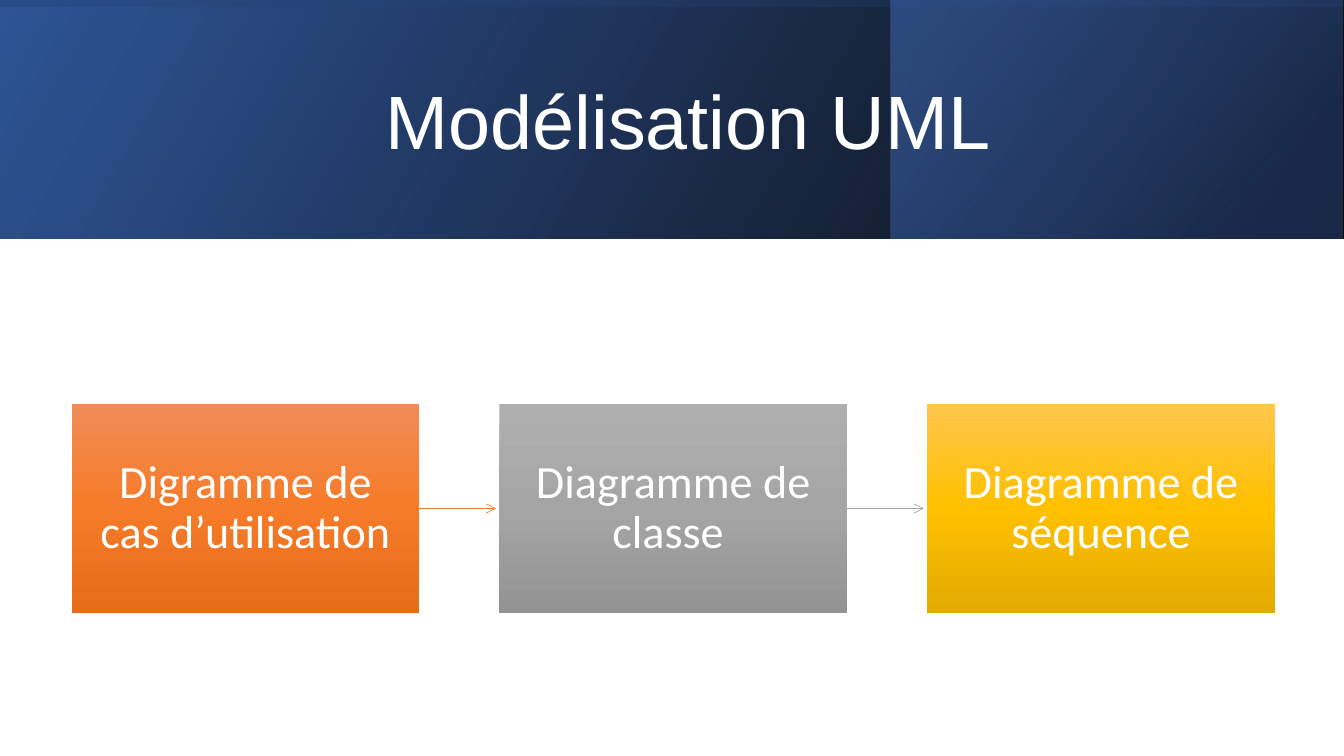
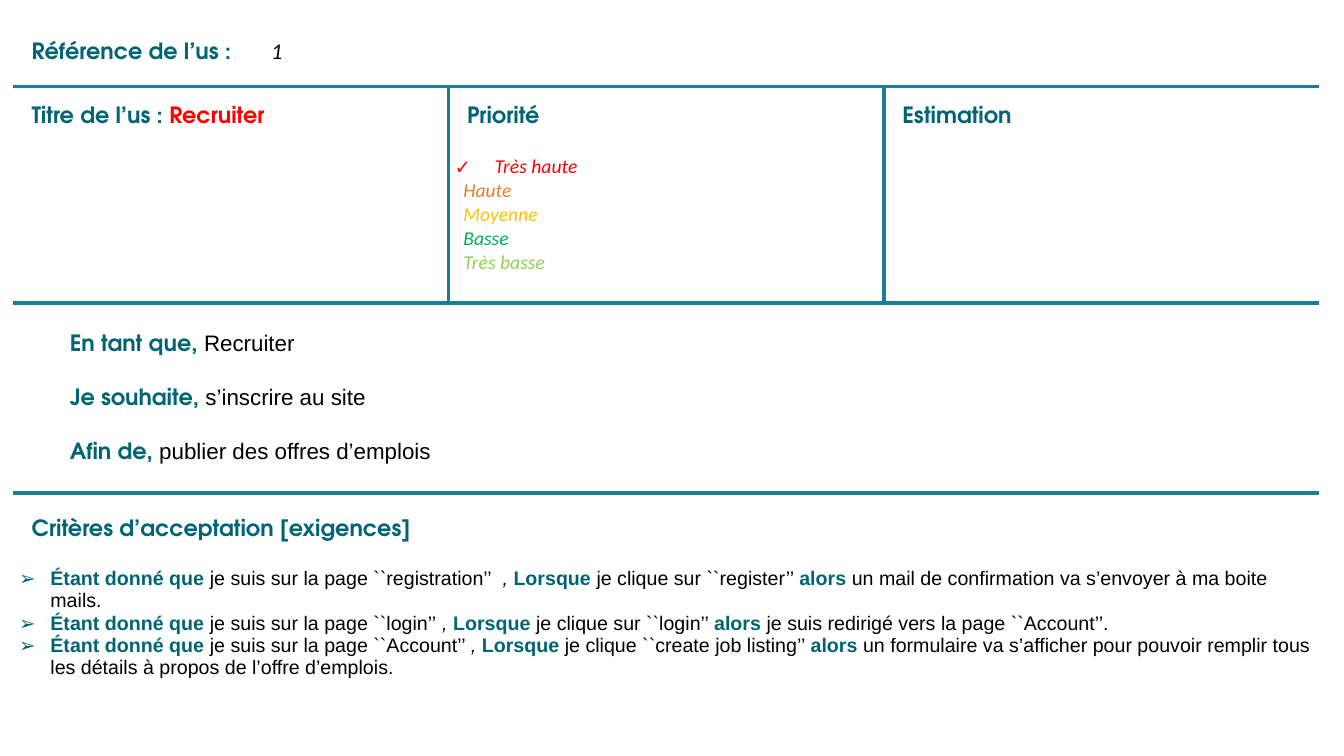
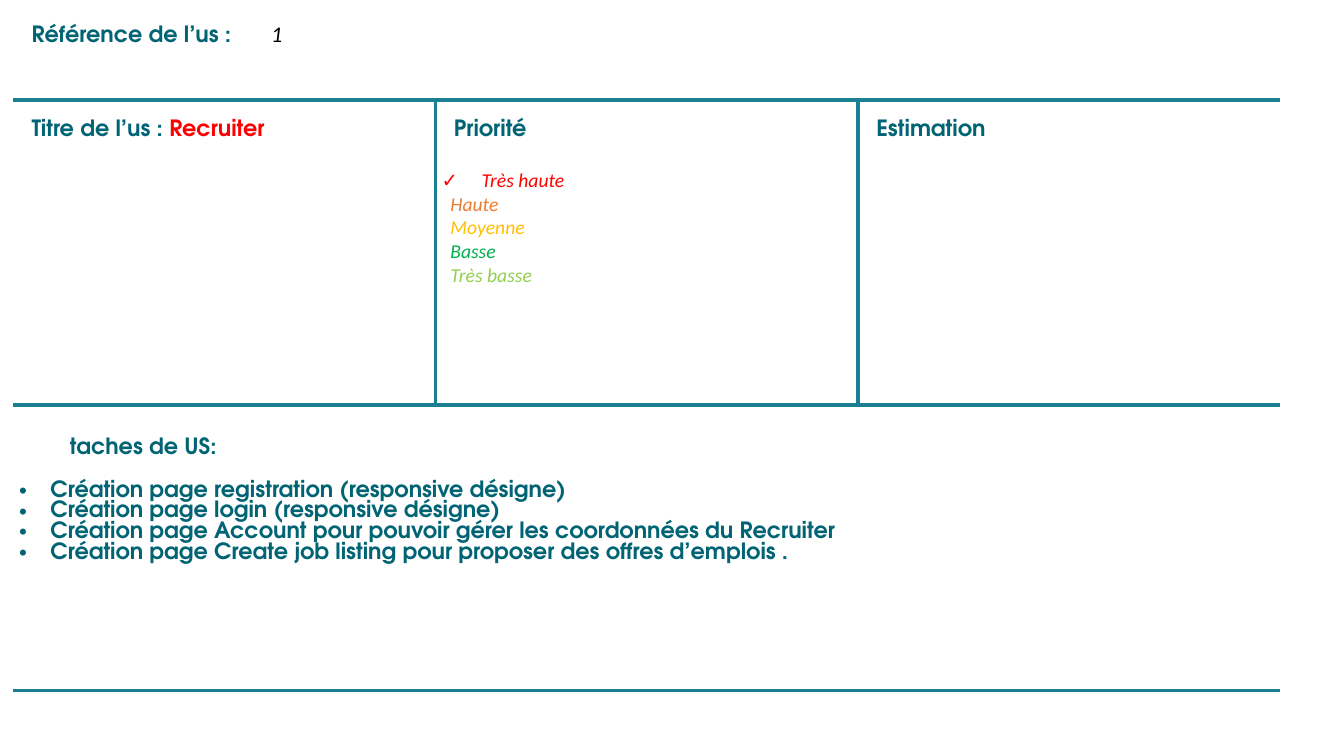
from dataclasses import dataclass

from pptx import Presentation
from pptx.dml.color import RGBColor
from pptx.enum.shapes import MSO_CONNECTOR, MSO_SHAPE
from pptx.enum.text import MSO_ANCHOR, PP_ALIGN
from pptx.oxml.ns import qn
from pptx.util import Pt
from lxml.etree import SubElement

WHITE = RGBColor(0xFF, 0xFF, 0xFF)
BLACK = RGBColor(0x00, 0x00, 0x00)
NAVY = RGBColor(0x20, 0x38, 0x64)
DARK_BLUE = RGBColor(0x2F, 0x55, 0x97)
BLUE = RGBColor(0x44, 0x72, 0xC4)
TEAL = RGBColor(0x00, 0x64, 0x74)
RULE_TEAL = RGBColor(0x1A, 0x7F, 0x93)
RED = RGBColor(0xFF, 0x00, 0x00)
ORANGE = RGBColor(0xED, 0x7D, 0x31)
GREY = RGBColor(0xA5, 0xA5, 0xA5)
AMBER = RGBColor(0xFF, 0xC0, 0x00)
GREEN = RGBColor(0x00, 0xB0, 0x50)
LIME = RGBColor(0x92, 0xD0, 0x50)
ORANGE_SHADES = RGBColor(0xF1, 0x8C, 0x57), RGBColor(0xF6, 0x7B, 0x28), RGBColor(0xE5, 0x6C, 0x19)
GREY_SHADES = RGBColor(0xAF, 0xAF, 0xAF), GREY, RGBColor(0x93, 0x93, 0x93)
AMBER_SHADES = RGBColor(0xFF, 0xC6, 0x4B), AMBER, RGBColor(0xE3, 0xAB, 0x00)

SLIDE_W, SLIDE_H = 960, 540
BAND_H = 170.6
STEP_LEFT, STEP_TOP, STEP_W, STEP_H, STEP_PITCH = 51.1, 288.7, 248.4, 149, 305.6
ARROW_LENGTH = 54.7
CELL_INSET, TABLE_LEFT = 4.3, 9.4
HEADING_INDENT, STORY_INDENT, LEVEL_INDENT, LIST_INDENT = 8.9, 36.2, 6.3, 22.3
HEADING_TOP = 14.8

HEADING = {"name": "TeX Gyre Adventor", "size": Pt(16), "bold": True, "color": TEAL}
ACTOR = HEADING | {"color": RED}
NUMBER = {"name": "Calibri", "size": Pt(16), "italic": True, "color": BLACK}
STORY = {"name": "Arial", "size": Pt(16), "color": BLACK}
CRITERION = {"name": "Arial", "size": Pt(14), "color": BLACK}
CRITERION_KEY = CRITERION | {"bold": True, "color": TEAL}
CRITERION_COMMA = CRITERION | {"italic": True}
LEVEL = {"name": "Calibri", "size": Pt(14), "italic": True}
TITLE = {"name": "Arial", "size": Pt(54), "color": WHITE}
STEP = {"name": "Calibri", "size": Pt(33), "color": WHITE}


@dataclass
class Para:
    runs: list
    indent: float = 0
    bullet: str = ""
    before: float = 0
    tab: float = 0


@dataclass
class Row:
    """One cell per column, or a single cell across all columns."""
    height: float
    cells: list
    top: float = HEADING_TOP
    ruled_below: bool = True


TITLE_TEXT = "Modélisation UML"
STEPS = [
    ("Digramme de cas d’utilisation", ORANGE_SHADES, ORANGE),
    ("Diagramme de classe ", GREY_SHADES, GREY),
    ("Diagramme de séquence", AMBER_SHADES, AMBER),
]
# left, top, width, height, rotation, angle, stops (position, colour, opacity)
BANDS = [
    (0, 0, SLIDE_W, BAND_H, 0, 330, [(0, BLACK, 96), (100, DARK_BLUE, 100)]),
    (636.5, 0, 322.6, BAND_H, 0, 320, [(19, NAVY, 68), (100, BLUE, 48)]),
    ((SLIDE_W - BAND_H) / 2, (BAND_H - SLIDE_W) / 2, BAND_H, SLIDE_W, 270, 350,
     [(23, DARK_BLUE, 16), (99, BLACK, 45)]),
]

PRIORITIES = [("Haute", ORANGE), ("Moyenne", AMBER), ("Basse", GREEN), ("Très basse", LIME)]
STORY_LINES = [
    ("En tant que, ", "Recruiter"),
    ("Je souhaite, ", "s’inscrire au site"),
    ("Afin de, ", "publier des offres d’emplois"),
]
CRITERIA = [
    ("je suis sur la page ``registration’’ ", " , ", "je clique sur ``register’’ ",
     "un mail de confirmation va s’envoyer à ma boite mails."),
    ("je suis sur la page ``login’’", " , ", "je clique sur ``login’’ ",
     "je suis redirigé vers la page ``Account’’."),
    ("je suis sur la page ``Account’’ ", ", ", "je clique ``create job listing’’ ",
     "un formulaire va s’afficher pour pouvoir remplir tous les détails à propos de l’offre d’emplois."),
]
TASKS = [
    "Création page registration (responsive désigne)",
    "Création page login (responsive désigne)",
    "Création page Account pour pouvoir gérer les coordonnées du Recruiter",
    "Création page Create job listing pour proposer des offres d’emplois .",
]


def heading(*runs, **options):
    return Para(list(runs), indent=HEADING_INDENT, **options)


REFERENCE = [heading(("Référence de l’us :\t", HEADING), ("1", NUMBER), tab=165)]
SUMMARY = [
    [heading(("Titre de l’us : ", HEADING), ("Recruiter", ACTOR))],
    [heading(("Priorité", HEADING)),
     Para([("Très haute", LEVEL | {"color": RED})], LIST_INDENT + LEVEL_INDENT, "✓", 19.5)]
    + [Para([(level, LEVEL | {"color": color})], LEVEL_INDENT) for level, color in PRIORITIES],
    [heading(("Estimation", HEADING))],
]
STORY_CELL = [
    Para([(key, HEADING), (wish, STORY)], STORY_INDENT, before=20.6 if i else 0)
    for i, (key, wish) in enumerate(STORY_LINES)
]
CRITERIA_CELL = [heading(("Critères d’acceptation [exigences]", HEADING))] + [
    Para([("Étant donné que ", CRITERION_KEY), (given, CRITERION), (comma, CRITERION_COMMA),
          ("Lorsque ", CRITERION_KEY), (when, CRITERION),
          ("alors ", CRITERION_KEY), (then, CRITERION)],
         LIST_INDENT, "➢", 0 if i else 19.5)
    for i, (given, comma, when, then) in enumerate(CRITERIA)
]
TASKS_CELL = [Para([("taches de US:", HEADING)], STORY_INDENT)] + [
    Para([(task, HEADING)], LIST_INDENT, "•", 0 if i else 15.5) for i, task in enumerate(TASKS)
]
# table top, column width, rows
STORY_CARDS = [
    (12.2, 311, [Row(49.7, [REFERENCE]), Row(154.8, SUMMARY), Row(135.4, [STORY_CELL], 20.2),
                 Row(174.2, [CRITERIA_CELL], 19.5, ruled_below=False)]),
    (0, 301.7, [Row(71.3, [REFERENCE]), Row(218.2, SUMMARY), Row(203.8, [TASKS_CELL], 23.5)]),
]


def add_run(paragraph, text, style):
    run = paragraph.add_run()
    run.text = text
    for key, value in style.items():
        if key == "color":
            run.font.color.rgb = value
        else:
            setattr(run.font, key, value)


def fill_gradient(shape, stops, angle):
    """Fill with (position, colour, opacity) stops; the angle turns clockwise."""
    shape.fill.gradient()
    gradient = shape._element.spPr.find(qn("a:gradFill"))
    stop_list = gradient.find(qn("a:gsLst"))
    for old_stop in list(stop_list):
        stop_list.remove(old_stop)
    for position, color, opacity in stops:
        stop = SubElement(stop_list, qn("a:gs"), pos=str(position * 1000))
        rgb = SubElement(stop, qn("a:srgbClr"), val=str(color))
        if opacity < 100:
            SubElement(rgb, qn("a:alpha"), val=str(opacity * 1000))
    gradient.find(qn("a:lin")).set("ang", str(angle * 60000))


def add_gradient_box(slide, left, top, width, height, stops, angle):
    box = slide.shapes.add_shape(MSO_SHAPE.RECTANGLE, Pt(left), Pt(top), Pt(width), Pt(height))
    box.shadow.inherit = False
    box.line.fill.background()
    fill_gradient(box, stops, angle)
    return box


def write_centred(shape, text, style, inset_x, inset_y):
    frame = shape.text_frame
    frame.word_wrap = True
    frame.vertical_anchor = MSO_ANCHOR.MIDDLE
    frame.margin_left = frame.margin_right = Pt(inset_x)
    frame.margin_top = frame.margin_bottom = Pt(inset_y)
    paragraph = frame.paragraphs[0]
    paragraph.alignment = PP_ALIGN.CENTER
    paragraph.line_spacing = 0.9
    add_run(paragraph, text, style)


def add_arrow(slide, box, color):
    left, middle = box.left + box.width, box.top + box.height // 2
    arrow = slide.shapes.add_connector(
        MSO_CONNECTOR.STRAIGHT, left, middle, left + Pt(ARROW_LENGTH), middle)
    arrow.begin_connect(box, 3)
    arrow.line.color.rgb = color
    arrow.line.width = Pt(0.5)
    SubElement(arrow.line._get_or_add_ln(), qn("a:tailEnd"), type="arrow")
    SubElement(arrow._element.spPr, qn("a:effectLst"))


def add_process_slide(slide):
    for left, top, width, height, rotation, angle, stops in BANDS:
        band = add_gradient_box(slide, left, top, width, height, stops, angle)
        band.rotation = rotation
        band._element.spPr.find(qn("a:xfrm")).set("flipH", "1")
    title = slide.shapes.add_textbox(Pt(108.7), Pt(27.4), Pt(765.4), Pt(123.8))
    write_centred(title, TITLE_TEXT, TITLE, 7.2, 3.6)
    for i, (text, shades, line_color) in enumerate(STEPS):
        stops = [(50 * n, shade, 100) for n, shade in enumerate(shades)]
        box = add_gradient_box(slide, STEP_LEFT + i * STEP_PITCH, STEP_TOP,
                               STEP_W, STEP_H, stops, 90)
        write_centred(box, text, STEP, 18.7, 18.7)
        if i < len(STEPS) - 1:
            add_arrow(slide, box, line_color)


def write_paragraph(paragraph, para):
    paragraph.space_before = Pt(para.before)
    properties = paragraph._p.get_or_add_pPr()
    hang = LIST_INDENT + (para.indent - LIST_INDENT) if para.bullet else 0
    properties.set("marL", str(Pt(hang)))
    properties.set("indent", str(Pt(-hang if para.bullet else para.indent)))
    if para.bullet:
        SubElement(properties, qn("a:buFont"), typeface="Arial")
        SubElement(properties, qn("a:buChar"), char=para.bullet)
    if para.tab:
        tabs = SubElement(properties, qn("a:tabLst"))
        SubElement(tabs, qn("a:tab"), pos=str(Pt(para.tab)), algn="l")
    for text, style in para.runs:
        add_run(paragraph, text, style)


def style_cell(cell, top, ruled_sides):
    cell.margin_left = cell.margin_right = Pt(CELL_INSET)
    cell.margin_top, cell.margin_bottom = Pt(top), 0
    properties = cell._tc.get_or_add_tcPr()
    for side in "LRTB":
        border = SubElement(properties, qn(f"a:ln{side}"), w=str(Pt(3)))
        if side in ruled_sides:
            fill = SubElement(border, qn("a:solidFill"))
            SubElement(fill, qn("a:srgbClr"), val=str(RULE_TEAL))
        else:
            SubElement(border, qn("a:noFill"))
    cell.fill.solid()
    cell.fill.fore_color.rgb = WHITE


def add_story_card(slide, top, column_width, rows):
    columns = len(SUMMARY)
    table = slide.shapes.add_table(
        len(rows), columns, Pt(TABLE_LEFT), Pt(top), Pt(column_width * columns),
        Pt(sum(row.height for row in rows))).table
    table.first_row = table.horz_banding = False
    for column in table.columns:
        column.width = Pt(column_width)
    for r, row in enumerate(rows):
        table.rows[r].height = Pt(row.height)
        split = len(row.cells) > 1
        for c in range(columns):
            sides = ("T" if r else "") + ("B" if row.ruled_below else "")
            if split:
                sides += ("L" if c else "") + ("R" if c < columns - 1 else "")
            style_cell(table.cell(r, c), row.top, sides)
        if not split:
            table.cell(r, 0).merge(table.cell(r, columns - 1))
        for c, paras in enumerate(row.cells):
            frame = table.cell(r, c).text_frame
            for i, para in enumerate(paras):
                write_paragraph(frame.add_paragraph() if i else frame.paragraphs[0], para)


def main():
    deck = Presentation()
    deck.slide_width, deck.slide_height = Pt(SLIDE_W), Pt(SLIDE_H)
    blank = deck.slide_layouts[6]
    add_process_slide(deck.slides.add_slide(blank))
    for top, column_width, rows in STORY_CARDS:
        add_story_card(deck.slides.add_slide(blank), top, column_width, rows)
    deck.save("out.pptx")


if __name__ == "__main__":
    main()
